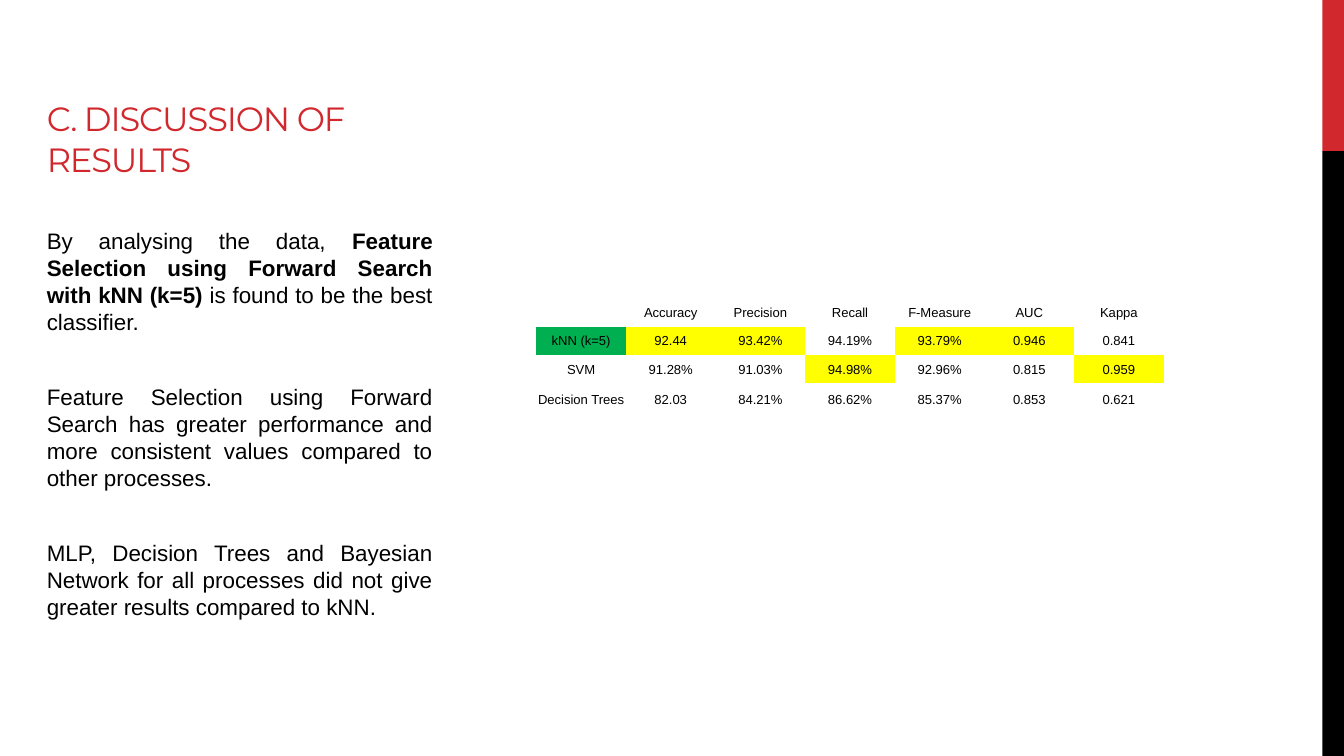
from lxml import etree
from pptx import Presentation
from pptx.dml.color import RGBColor
from pptx.enum.shapes import MSO_SHAPE
from pptx.enum.text import MSO_ANCHOR, PP_ALIGN
from pptx.oxml.ns import qn
from pptx.util import Inches, Pt

RECT = MSO_SHAPE.RECTANGLE
TOP, MIDDLE, BOTTOM = MSO_ANCHOR.TOP, MSO_ANCHOR.MIDDLE, MSO_ANCHOR.BOTTOM
LEFT, CENTER, JUSTIFY = PP_ALIGN.LEFT, PP_ALIGN.CENTER, PP_ALIGN.JUSTIFY

RED = RGBColor(0xD1, 0x28, 0x2E)
BLACK = RGBColor(0x00, 0x00, 0x00)
GREEN = RGBColor(0x00, 0xB0, 0x50)
YELLOW = RGBColor(0xFF, 0xFF, 0x00)

SLIDE_W = 10
SLIDE_H = SLIDE_W * 9 / 16
NO_STYLE = "{2D5ABB26-0587-4C30-8999-92F81FD0307C}"

TITLE = "C. DISCUSSION OF RESULTS"
FINDINGS = [
    [("By analysing the data, ", False),
     ("Feature Selection using Forward Search with kNN (k=5)", True),
     (" is found to be the best classifier.", False)],
    [("Feature Selection using Forward Search has greater performance and "
      "more consistent values compared to other processes. ", False)],
    [("MLP, Decision Trees and Bayesian Network for all processes did not "
      "give greater results compared to kNN. ", False)],
]
RESULTS = [
    ["", "Accuracy", "Precision", "Recall", "F-Measure", "AUC", "Kappa"],
    ["kNN (k=5)", "92.44", "93.42%", "94.19%", "93.79%", "0.946", "0.841"],
    ["SVM", "91.28%", "91.03%", "94.98%", "92.96%", "0.815", "0.959"],
    ["Decision Trees", "82.03", "84.21%", "86.62%", "85.37%", "0.853", "0.621"],
]
ROW_HEIGHTS = [0.21, 0.21, 0.21, 0.24]
BEST = {(1, 1), (1, 2), (1, 4), (1, 5), (2, 3), (2, 6)}
FILLS = {(1, 0): GREEN} | dict.fromkeys(BEST, YELLOW)


def add_text(p, text, font="Arial", size=12, color=BLACK, bold=False,
             align=LEFT, spacing=None):
    p.alignment = align
    if not text:
        etree.SubElement(p._p, qn("a:endParaRPr"), sz=str(size * 100))
        return
    r = p.add_run()
    r.text = text
    r.font.name = font
    r.font.size = Pt(size)
    r.font.bold = bold
    r.font.color.rgb = color
    if spacing is not None:
        r.font._element.set("spc", str(round(spacing * 100)))


def add_box(s, x, y, w, h, anchor):
    tf = s.shapes.add_textbox(Inches(x), Inches(y), Inches(w), Inches(h)).text_frame
    tf.word_wrap = True
    tf.vertical_anchor = anchor
    tf.margin_left = tf.margin_right = Inches(0.1)
    tf.margin_top = tf.margin_bottom = Inches(0.1)
    return tf


def add_side_bar(s, x, y, w, h):
    red_h = h / 5
    for top, height, color in ((y, red_h, RED), (y + red_h, h - red_h, BLACK)):
        sp = s.shapes.add_shape(RECT, Inches(x), Inches(top), Inches(w), Inches(height))
        sp.shadow.inherit = False
        sp.fill.solid()
        sp.fill.fore_color.rgb = color
        sp.line.fill.background()


def add_title(s, x, y, w, h):
    tf = add_box(s, x, y, w, h, BOTTOM)
    add_text(tf.paragraphs[0], TITLE, font="Montserrat", size=18, color=RED,
             spacing=-0.6)


def add_findings(s, x, y, w, h):
    tf = add_box(s, x, y, w, h, TOP)
    for i, runs in enumerate(FINDINGS):
        p = tf.add_paragraph() if i else tf.paragraphs[0]
        p.space_after = Pt(26)
        for text, bold in runs:
            add_text(p, text, bold=bold, align=JUSTIFY)


def add_results(s, x, y, w, h):
    rows, cols = len(RESULTS), len(RESULTS[0])
    table = s.shapes.add_table(rows, cols, Inches(x), Inches(y), Inches(w), Inches(h)).table
    table.first_row = False
    table.horz_banding = False
    table._tbl.tblPr.find(qn("a:tableStyleId")).text = NO_STYLE
    for column in table.columns:
        column.width = Inches(w / cols)
    for i, height in enumerate(ROW_HEIGHTS):
        table.rows[i].height = Inches(height)
        for j, text in enumerate(RESULTS[i]):
            cell = table.cell(i, j)
            cell.vertical_anchor = MIDDLE
            cell.margin_left = cell.margin_right = cell.margin_top = Inches(0.01)
            cell.margin_bottom = 0
            if (i, j) in FILLS:
                cell.fill.solid()
                cell.fill.fore_color.rgb = FILLS[i, j]
            else:
                cell.fill.background()
            add_text(cell.text_frame.paragraphs[0], text, size=7, align=CENTER)


def main():
    prs = Presentation()
    prs.slide_width = Inches(SLIDE_W)
    prs.slide_height = Inches(SLIDE_H)
    s = prs.slides.add_slide(prs.slide_layouts[6])
    add_side_bar(s, 9.84, 0, 0.16, SLIDE_H)
    add_title(s, 0.25, 0.39, 3.07, 1.04)
    add_findings(s, 0.25, 1.59, 3.07, 3.46)
    add_results(s, 3.99, 2.22, 4.67, sum(ROW_HEIGHTS))
    prs.save("out.pptx")


if __name__ == "__main__":
    main()
